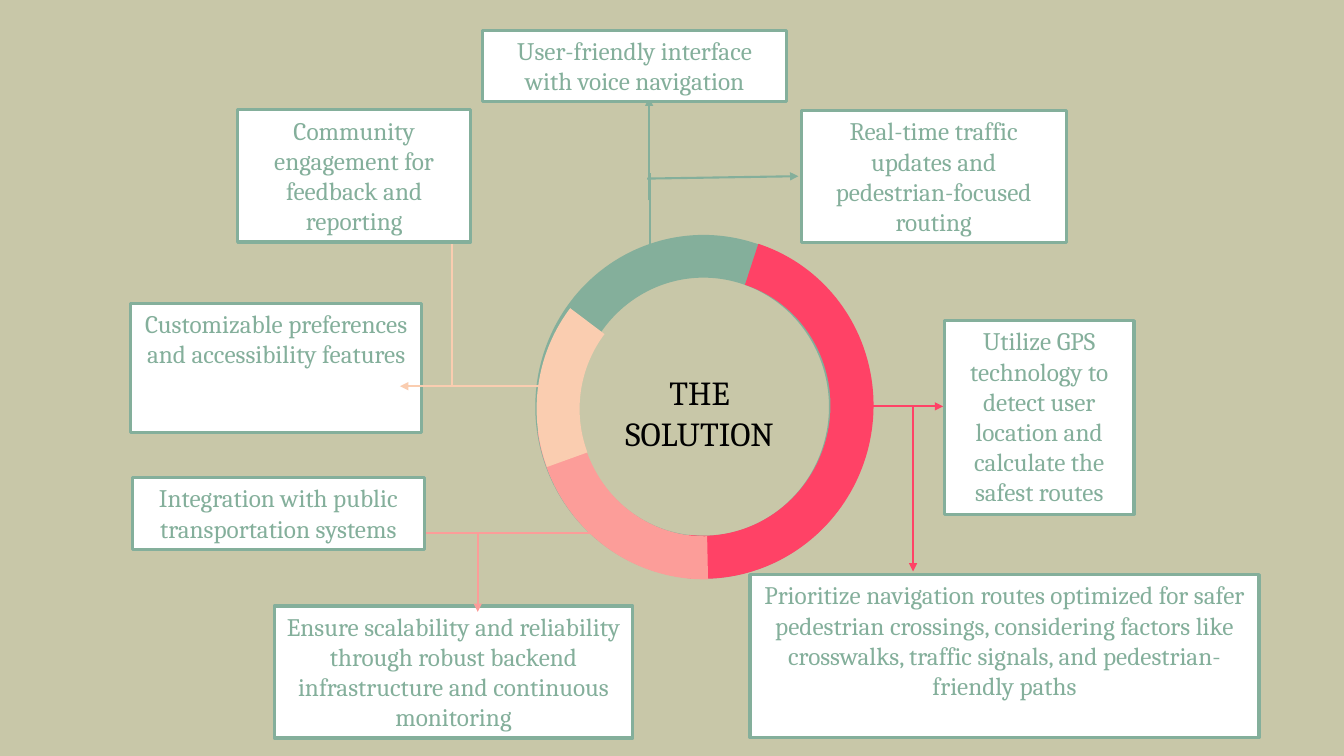
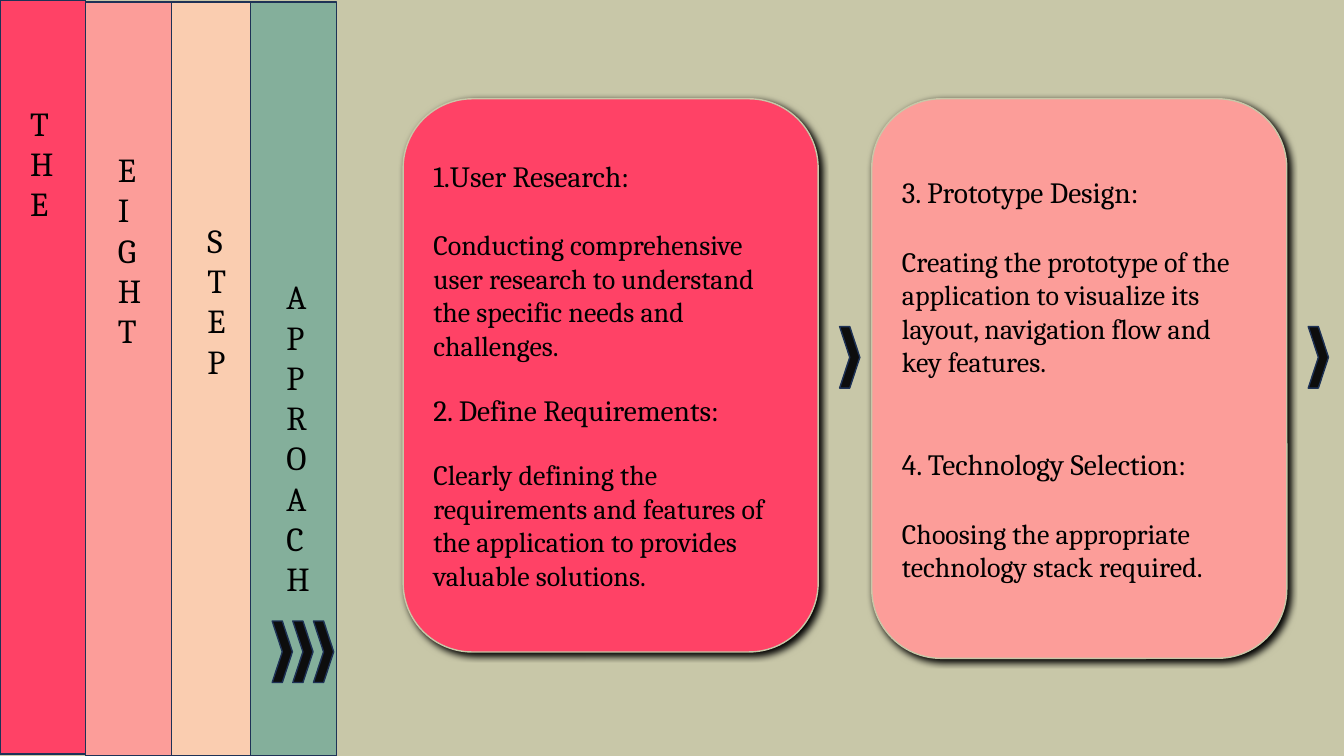
"""Builds two slides: a ring of solution features and an eight step approach."""
from lxml import etree
from pptx import Presentation
from pptx.dml.color import RGBColor
from pptx.enum.shapes import MSO_CONNECTOR, MSO_SHAPE
from pptx.enum.text import MSO_ANCHOR, MSO_AUTO_SIZE, PP_ALIGN
from pptx.oxml.ns import qn
from pptx.util import Cm, Pt

RECTANGLE, ROUNDED = MSO_SHAPE.RECTANGLE, MSO_SHAPE.ROUNDED_RECTANGLE
DONUT, ARC, CHEVRON = MSO_SHAPE.DONUT, MSO_SHAPE.BLOCK_ARC, MSO_SHAPE.CHEVRON
STRAIGHT = MSO_CONNECTOR.STRAIGHT
LEFT, CENTER = PP_ALIGN.LEFT, PP_ALIGN.CENTER
TOP, MIDDLE = MSO_ANCHOR.TOP, MSO_ANCHOR.MIDDLE
NO_AUTOFIT = MSO_AUTO_SIZE.NONE

FONT = "Cambria"
SAND, GREEN, RED, PINK, PEACH = "C8C7A8", "84AF9B", "FF4266", "FC9D99", "FACDB0"
NAVY, BLACK, INK, WHITE = "1E3256", "000000", "0D0D0D", "FFFFFF"
TITLE_ONLY = 5

RING = [
    (DONUT, (13.49, 5.92, 8.48, 8.66), 0, (0.127,), GREEN),
    (ARC, (13.44, 6.02, 8.66, 8.48), 285, (1.84, 103.216, 0.128), RED),
    (ARC, (13.51, 5.94, 8.48, 8.66), 0, (53.248, 103.216, 0.128), PINK),
    (ARC, (13.51, 6.1, 8.51, 8.46), 45, (69.075, 103.216, 0.128), PEACH),
]
BOXES_UNDER_LINES = [
    ("Customizable preferences and accessibility features", (3.3, 7.65, 7.32, 3.25)),
    ("Real-time traffic updates and pedestrian-focused routing", (20.19, 2.79, 6.68, 3.33)),
    ("Ensure scalability and reliability through robust backend infrastructure "
     "and continuous monitoring", (6.91, 15.27, 9.04, 3.33)),
    ("Prioritize navigation routes optimized for safer pedestrian crossings, considering "
     "factors like crosswalks, traffic signals, and pedestrian-friendly paths",
     (18.9, 14.48, 12.83, 4.11)),
]
BOXES_OVER_LINES = [
    ("Community engagement for feedback and reporting", (5.99, 2.77, 5.87, 3.33)),
    ("Utilize GPS technology to detect user location and calculate the safest routes",
     (23.8, 8.08, 4.78, 4.88)),
    ("Integration with public transportation systems", (3.33, 12.04, 7.37, 1.8)),
    ("User-friendly interface with voice navigation", (12.17, 0.76, 7.65, 1.8)),
]
LINES = {
    GREEN: [((16.38, 6.17), (16.38, 4.37), False),
            ((16.31, 4.5), (20.12, 4.44), True),
            ((16.36, 5.05), (16.36, 2.46), True)],
    PEACH: [((13.67, 9.73), (12.09, 9.73), False),
            ((11.38, 9.73), (11.38, 5.79), True),
            ((12.5, 9.73), (10.08, 9.73), True)],
    PINK: [((14.88, 13.44), (12.04, 13.44), False),
           ((12.04, 13.44), (12.04, 15.42), True),
           ((12.37, 13.44), (10.49, 13.44), True)],
    RED: [((21.82, 10.24), (23.04, 10.24), False),
          ((23.01, 10.24), (23.01, 14.4), True),
          ((22.73, 10.24), (23.77, 10.24), True)],
}

STRIPS = [(RED, 0, 0), (PINK, 2.16, 0.05), (PEACH, 4.32, 0.05), (GREEN, 6.32, 0.05)]
STRIP_WORDS = [
    ("THE", (0.51, 2.46, 1.17, 3.33)),
    ("EIGHT", (2.72, 3.63, 1.07, 5.38)),
    ("STEP", (4.98, 5.41, 0.86, 4.37)),
]
STRIP_TITLE = ("APPROACH", (6.96, 6.83, 0.91, 8.46))
CARDS = [
    (RED, 13.94, [
        ("1.User Research:", 21, 0),
        ("Conducting comprehensive user research to understand the specific needs "
         "and challenges.", 20, 24),
        ("2. Define Requirements:", 21, 21.6),
        ("Clearly defining the requirements and features of the application to provides "
         "valuable solutions.", 20, 21.6)]),
    (PINK, 14.1, [
        ("3. Prototype Design:", 21, 0),
        ("Creating the prototype of the application to visualize its layout, navigation "
         "flow and key features.", 20, 25),
        ("4. Technology Selection:", 21, 48),
        ("Choosing the appropriate technology stack required.", 20, 25)]),
]
CARD_LEFT, CARD_TOP, CARD_WIDTH, CARD_STEP = 10.16, 2.49, 10.46, 11.81
CHEVRON_WIDTH, CHEVRON_HEIGHT, CHEVRON_STEP = 0.51, 1.55, 0.52


def color(value):
    return RGBColor.from_string(value)


def write_text(frame, text, size=18, fill=BLACK, align=LEFT, anchor=TOP, before=0):
    frame.word_wrap = True
    frame.auto_size = NO_AUTOFIT
    frame.vertical_anchor = anchor
    paragraph = frame.add_paragraph() if frame.text else frame.paragraphs[0]
    paragraph.alignment = align
    paragraph.space_before = Pt(before)
    paragraph.line_spacing = 1.0
    run = paragraph.add_run()
    run.text = text
    run.font.name, run.font.size = FONT, Pt(size)
    run.font.color.rgb = color(fill)


def add_shape(slide, kind, place, fill, line=None, width=1):
    shape = slide.shapes.add_shape(kind, *map(Cm, place))
    shape.shadow.inherit = False
    shape.fill.solid()
    shape.fill.fore_color.rgb = color(fill)
    if line:
        shape.line.color.rgb = color(line)
        shape.line.width = Pt(width)
    else:
        shape.line.fill.background()
    return shape


def add_line(slide, start, end, fill, arrow):
    connector = slide.shapes.add_connector(STRAIGHT, *map(Cm, start + end))
    connector.line.color.rgb = color(fill)
    connector.line.width = Pt(1.5)
    properties = connector.element.spPr
    if arrow:
        etree.SubElement(properties.find(qn("a:ln")), qn("a:tailEnd"), type="triangle")
    etree.SubElement(properties, qn("a:effectLst"))


def add_shadow(shape):
    effects = shape.element.spPr.find(qn("a:effectLst"))
    shadow = etree.SubElement(effects, qn("a:outerShdw"), blurRad=str(Pt(5)), dist=str(Pt(3)),
                              dir="2700000", algn="tl", rotWithShape="0")
    etree.SubElement(shadow, qn("a:srgbClr"), val=BLACK)


def place_title(slide, lines, place, **style):
    title = slide.shapes.title
    title.left, title.top, title.width, title.height = map(Cm, place)
    for line in lines:
        write_text(title.text_frame, line, size=24, **style)
    title.element.getparent().append(title.element)


def add_boxes(slide, boxes):
    for text, place in boxes:
        box = add_shape(slide, RECTANGLE, place, WHITE, GREEN, 2.25)
        write_text(box.text_frame, text, fill=GREEN, align=CENTER)


def add_chevron(slide, left, top):
    add_shape(slide, CHEVRON, (left, top, CHEVRON_WIDTH, CHEVRON_HEIGHT), INK, NAVY)


def build_solution(slide):
    for kind, place, rotation, adjustments, fill in RING:
        segment = add_shape(slide, kind, place, fill)
        segment.rotation = rotation
        for index, value in enumerate(adjustments):
            segment.adjustments[index] = value
    place_title(slide, ["THE", "SOLUTION"], (14.25, 9.25, 6.76, 2.31), align=CENTER)
    add_boxes(slide, BOXES_UNDER_LINES)
    for fill, lines in LINES.items():
        for start, end, arrow in lines:
            add_line(slide, start, end, fill, arrow)
    add_boxes(slide, BOXES_OVER_LINES)


def build_approach(slide):
    for fill, left, top in STRIPS:
        add_shape(slide, RECTANGLE, (left, top, 2.16, 19), fill, NAVY)
    for word, place in STRIP_WORDS:
        write_text(slide.shapes.add_textbox(*map(Cm, place)).text_frame, word, size=24)
    word, place = STRIP_TITLE
    place_title(slide, [word], place)
    for index in range(3):
        add_chevron(slide, 6.86 + index * CHEVRON_STEP, 15.65)
    for index, (fill, height, paragraphs) in enumerate(CARDS):
        left = CARD_LEFT + index * CARD_STEP
        card = add_shape(slide, ROUNDED, (left, CARD_TOP, CARD_WIDTH, height), fill, SAND)
        add_shadow(card)
        for text, size, before in paragraphs:
            write_text(card.text_frame, text, size=size, anchor=MIDDLE, before=before)
        add_chevron(slide, left + 11, 8.23)


def main():
    presentation = Presentation()
    presentation.slide_width, presentation.slide_height = Cm(33.87), Cm(19.05)
    background = presentation.slide_master.background.fill
    background.solid()
    background.fore_color.rgb = color(SAND)
    for build in (build_solution, build_approach):
        build(presentation.slides.add_slide(presentation.slide_layouts[TITLE_ONLY]))
    presentation.save("out.pptx")


if __name__ == "__main__":
    main()
